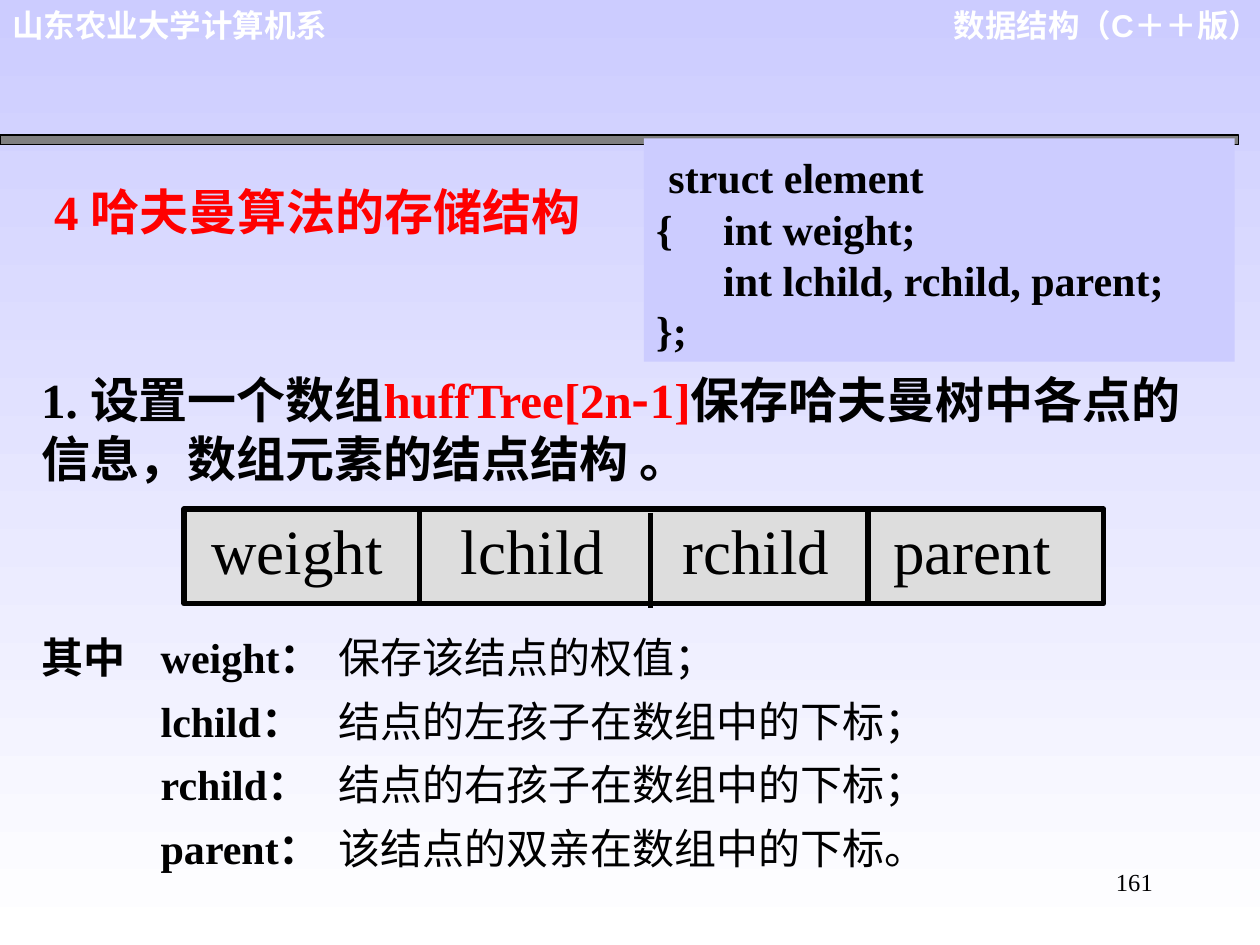
from lxml import etree
from pptx import Presentation
from pptx.dml.color import RGBColor
from pptx.enum.shapes import MSO_CONNECTOR, MSO_SHAPE
from pptx.enum.text import MSO_ANCHOR, PP_ALIGN
from pptx.oxml.ns import qn
from pptx.util import Cm, Pt

RECT, LINE = MSO_SHAPE.RECTANGLE, MSO_CONNECTOR.STRAIGHT
TOP, LEFT, RIGHT = MSO_ANCHOR.TOP, PP_ALIGN.LEFT, PP_ALIGN.RIGHT
BLACK = RGBColor(0, 0, 0)
WHITE = RGBColor(255, 255, 255)
RED = RGBColor(255, 0, 0)
GRAY = RGBColor(0x80, 0x80, 0x80)
PALE = RGBColor(0xDD, 0xDD, 0xDD)
LILAC = RGBColor(0xCC, 0xCC, 0xFF)
SERIF, SANS, HAN = "Times New Roman", "Arial", "Noto Sans CJK SC"


def style(size, color=BLACK, bold=False, name=SERIF):
    return {"size": Pt(size), "color": color, "bold": bold, "name": name}


HEAD = style(18, WHITE, True, SANS)
TITLE = style(28, RED, True)
BODY = style(28, BLACK, True)
CODE = style(24, BLACK, True)
NOTE = style(24)
FIELD = style(36)


def add_run(para, text, form):
    run = para.add_run()
    run.text = text
    for key, value in form.items():
        if key == "color":
            run.font.color.rgb = value
        else:
            setattr(run.font, key, value)
    etree.SubElement(run._r.get_or_add_rPr(), qn("a:ea"), typeface=HAN)


def add_tabs(para, stops):
    tabs = etree.SubElement(para._p.get_or_add_pPr(), qn("a:tabLst"))
    for stop in stops:
        etree.SubElement(tabs, qn("a:tab"), pos=str(Cm(stop)), algn="l")


def write(shape, paras, align=LEFT, before=0, stops=(), pad=(0.13, 0.13)):
    """Fill a shape with paragraphs, each a list of (text, format) runs."""
    frame = shape.text_frame
    form = {"word_wrap": True, "vertical_anchor": TOP,
            "margin_left": Cm(0.25), "margin_right": Cm(0.25),
            "margin_top": Cm(pad[0]), "margin_bottom": Cm(pad[1])}
    for key, value in form.items():
        setattr(frame, key, value)
    for i, runs in enumerate(paras):
        para = frame.add_paragraph() if i else frame.paragraphs[0]
        para.alignment = align
        para.space_before = Pt(before)
        if stops:
            add_tabs(para, stops)
        for text, font in runs:
            add_run(para, text, font)


def add_text(slide, box, paras, **form):
    write(slide.shapes.add_textbox(*map(Cm, box)), paras, **form)


def add_rect(slide, box, fill, width=0):
    rect = slide.shapes.add_shape(RECT, *map(Cm, box))
    rect.shadow.inherit = False
    rect.fill.solid()
    rect.fill.fore_color.rgb = fill
    if width:
        rect.line.color.rgb = BLACK
        rect.line.width = Pt(width)
    else:
        rect.line.fill.background()
    return rect


def add_rule(slide, x, top, high):
    """Draw an upright divider."""
    rule = slide.shapes.add_connector(
        LINE, Cm(x), Cm(top), Cm(x), Cm(top + high))
    rule.line.color.rgb = BLACK
    rule.line.width = Pt(3)
    etree.SubElement(rule._element.spPr, qn("a:effectLst"))


def add_back(slide):
    fill = slide.background.fill
    fill.gradient()
    fill.gradient_angle = 270
    for stop, color in zip(fill.gradient_stops, (LILAC, WHITE)):
        stop.color.rgb = color


def add_node(slide):
    """Draw the node record with its four fields."""
    top, high = 10.26, 1.91
    rect = add_rect(slide, (3.71, top, 18.54, high), PALE, 3)
    names = ("weight", "lchild", "rchild", "parent")
    text = "".join("\t" + name for name in names)
    write(rect, [[(text, FIELD)]],
          stops=(0.3, 5.33, 9.8, 14.05), pad=(0.05, 0.03))
    for x, drop in ((8.46, 0), (13.11, 0.08), (17.5, 0)):
        add_rule(slide, x, top + drop, high)


def main():
    deck = Presentation()
    deck.slide_width, deck.slide_height = Cm(25.4), Cm(19.05)
    slide = deck.slides.add_slide(deck.slide_layouts[6])
    add_back(slide)

    add_text(slide, (18.77, 0, 6.88, 1.78),
             [[("数据结构（C＋＋版）", HEAD)]], align=RIGHT, before=11.2)
    add_text(slide, (0, 0, 6.88, 1.02),
             [[("山东农业大学计算机系", HEAD)]], before=11.2)
    add_rect(slide, (0, 2.72, 24.97, 0.2), GRAY, 0.75)
    add_text(slide, (18.21, 17.35, 5.28, 1.27),
             [[("161", style(14))]], align=RIGHT)

    add_text(slide, (0.84, 3.38, 18.42, 1.63),
             [[("4 哈夫曼算法的存储结构", TITLE), (" ", style(32, bold=True))]],
             before=20)
    add_text(slide, (0.58, 7.32, 24.13, 2.64),
             [[("1. 设置一个数组", BODY), ("huffTree[2n", TITLE),
               ("-", style(28, RED, True, HAN)), ("1]", TITLE),
               ("保存哈夫曼树中各点的信息，数组元素的结点结构 。", BODY)]],
             before=17.5)
    add_node(slide)

    notes = (("其中\tweight：", "保存该结点的权值；"),
             ("\tlchild：", "结点的左孩子在数组中的下标；"),
             ("\trchild：", "结点的右孩子在数组中的下标；"),
             ("\tparent：", "该结点的双亲在数组中的下标。"))
    add_text(slide, (0.58, 12.6, 23.67, 5.13),
             [[(name, CODE), ("\t" + text, NOTE)] for name, text in notes],
             before=7.5, stops=(2.41, 5.99))

    code = add_rect(slide, (12.98, 2.79, 11.91, 4.5), LILAC)
    lines = ("{\tint weight;", "\tint lchild, rchild, parent;", "};")
    write(code, [[(" ", BODY), ("struct element", CODE)],
                 *([(line, CODE)] for line in lines)], stops=(1.35,))
    deck.save("out.pptx")


if __name__ == "__main__":
    main()
